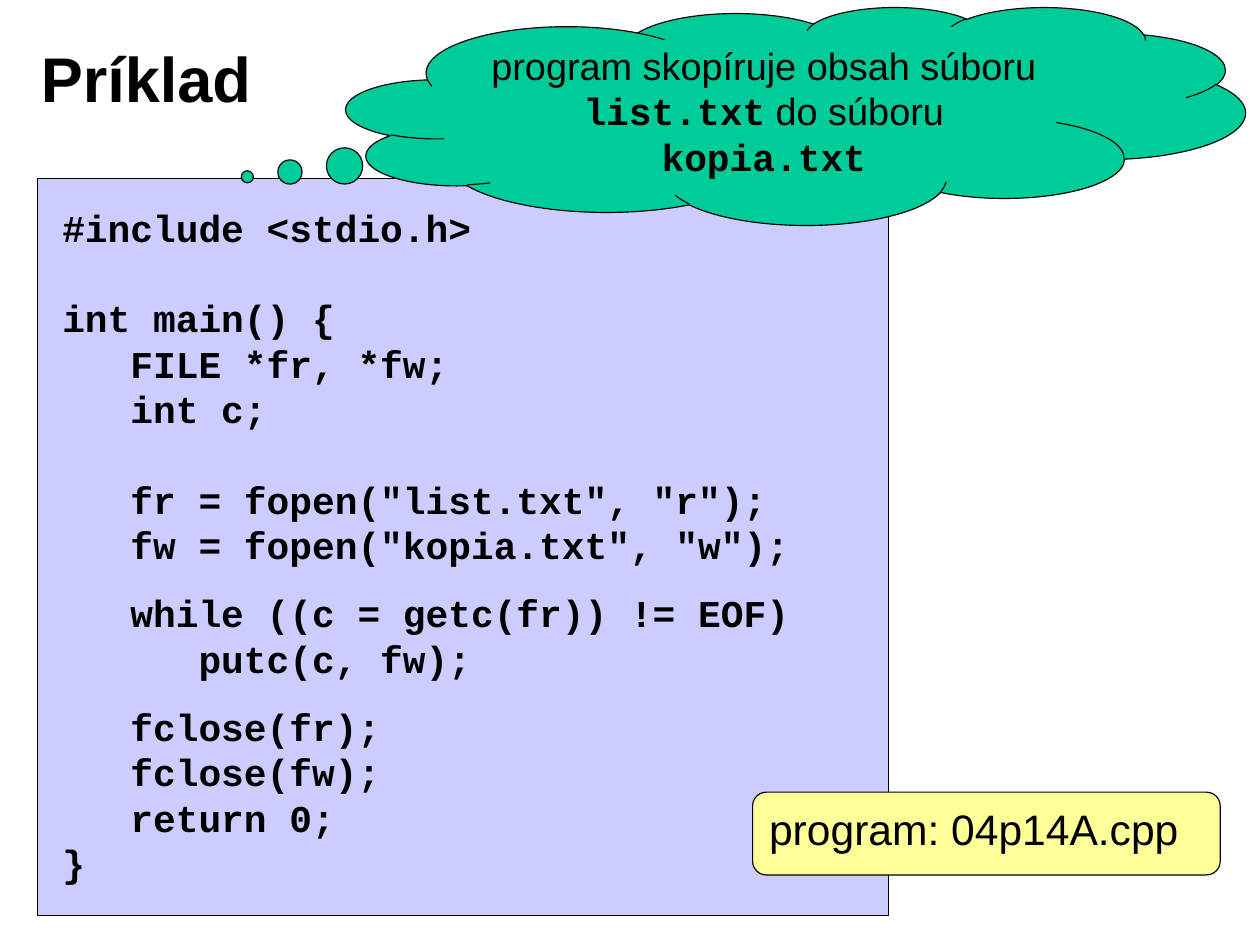
from pptx import Presentation
from pptx.dml.color import RGBColor
from pptx.enum.shapes import MSO_SHAPE
from pptx.enum.text import MSO_ANCHOR, PP_ALIGN
from pptx.util import Pt

PX = 9144
BLACK = RGBColor(0, 0, 0)
LILAC = RGBColor(0xCC, 0xCC, 0xFF)
GREEN = RGBColor(0, 0xCC, 0x99)
YELLOW = RGBColor(0xFF, 0xFF, 0x99)
SANS, MONO = "Arial", "Courier New"
RECT = MSO_SHAPE.RECTANGLE
ROUND = MSO_SHAPE.ROUNDED_RECTANGLE
CLOUD = MSO_SHAPE.CLOUD_CALLOUT
TOP, MIDDLE = MSO_ANCHOR.TOP, MSO_ANCHOR.MIDDLE
LEFT, CENTER = PP_ALIGN.LEFT, PP_ALIGN.CENTER
LEAD = Pt(28.8)

CODE = [
    (0, ["#include <stdio.h>"]),
    (1, ["int main() {", "   FILE *fr, *fw;", "   int c;"]),
    (1, ['   fr = fopen("list.txt", "r");', '   fw = fopen("kopia.txt", "w");']),
    (0.5, ["   while ((c = getc(fr)) != EOF)", "      putc(c, fw);"]),
    (0.5, ["   fclose(fr);", "   fclose(fw);", "   return 0;", "}"]),
]
NOTE = [
    ("program skopíruje obsah súboru ", False),
    ("list.txt", True),
    (" do súboru ", False),
    ("kopia.txt", True),
]


def emu(*box):
    """Turn px lengths into EMU."""
    return [n * PX for n in box]


def style(run, face, size, bold=False):
    """Set the font of a run."""
    font = run.font
    font.name, font.size, font.bold = face, Pt(size), bold
    font.color.rgb = BLACK


def inset(frame, side, edge):
    """Set the inner margins of a text frame."""
    frame.margin_left = frame.margin_right = side * PX
    frame.margin_top = frame.margin_bottom = edge * PX


def panel(slide, kind, box, fill):
    """Draw a filled shape with a thin black outline."""
    shape = slide.shapes.add_shape(kind, *emu(*box))
    shape.shadow.inherit = False
    shape.fill.solid()
    shape.fill.fore_color.rgb = fill
    shape.line.color.rgb = BLACK
    shape.line.width = Pt(0.75)
    return shape


def title(slide, box, text):
    """Place and format the title."""
    shape = slide.shapes.title
    shape.left, shape.top, shape.width, shape.height = emu(*box)
    frame = shape.text_frame
    inset(frame, 11, 6)
    frame.vertical_anchor = MIDDLE
    frame.text = text
    para = frame.paragraphs[0]
    para.alignment = LEFT
    style(para.runs[0], SANS, 40, True)


def listing(slide, box):
    """Draw the code panel and its lines."""
    panel(slide, RECT, box, LILAC)
    x, y, w, h = box
    frame = slide.shapes.add_textbox(*emu(x + 12, y + 18, w - 85, h - 34)).text_frame
    frame.word_wrap = False
    inset(frame, 10, 5)
    lines = [(gap if i == 0 else 0, line)
             for gap, block in CODE for i, line in enumerate(block)]
    for i, (gap, line) in enumerate(lines):
        para = frame.add_paragraph() if i else frame.paragraphs[0]
        para.text = line
        para.alignment = LEFT
        para.line_spacing = LEAD
        if gap:
            para.space_before = int(LEAD * gap)
        style(para.runs[0], MONO, 24, True)


def cloud(slide, box):
    """Draw the thought cloud with its note."""
    shape = panel(slide, CLOUD, box, GREEN)
    shape.adjustments[0], shape.adjustments[1] = -0.61, 0.28
    frame = shape.text_frame
    frame.word_wrap = True
    frame.vertical_anchor = MIDDLE
    inset(frame, 10, 5)
    para = frame.paragraphs[0]
    para.alignment = CENTER
    para.line_spacing = LEAD
    for text, mono in NOTE:
        run = para.add_run()
        run.text = text
        style(run, MONO if mono else SANS, 24, mono)


def label(slide, box, text):
    """Draw the rounded file label."""
    frame = panel(slide, ROUND, box, YELLOW).text_frame
    frame.word_wrap = True
    frame.vertical_anchor = TOP
    inset(frame, 11, 6)
    frame.text = text
    para = frame.paragraphs[0]
    para.alignment = LEFT
    style(para.runs[0], SANS, 27)


def main():
    """Build the slide and save it."""
    deck = Presentation()
    deck.slide_width, deck.slide_height = emu(1110, 830)
    slide = deck.slides.add_slide(deck.slide_layouts[5])
    title(slide, (25, 17, 892, 102), "Príklad")
    listing(slide, (33, 157, 750, 650))
    cloud(slide, (305, 6, 792, 192))
    label(slide, (663, 698, 412, 73), "program: 04p14A.cpp")
    deck.save("out.pptx")


if __name__ == "__main__":
    main()
